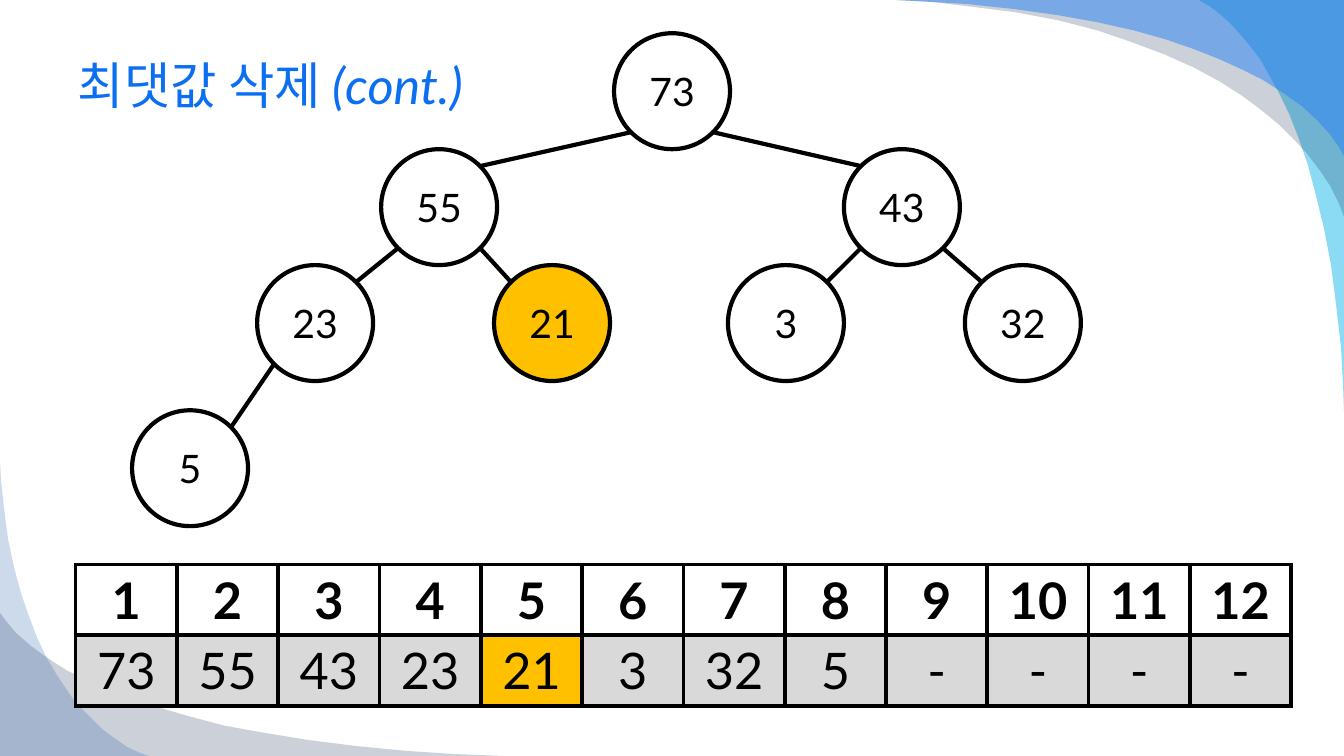
from math import sqrt

from lxml.etree import SubElement
from pptx import Presentation
from pptx.dml.color import RGBColor
from pptx.enum.shapes import MSO_CONNECTOR, MSO_SHAPE
from pptx.enum.text import MSO_ANCHOR, PP_ALIGN
from pptx.oxml.ns import qn
from pptx.util import Inches, Pt

BLACK = RGBColor(0x00, 0x00, 0x00)
WHITE = RGBColor(0xFF, 0xFF, 0xFF)
GRAY = RGBColor(0xD9, 0xD9, 0xD9)
AMBER = RGBColor(0xFF, 0xC0, 0x00)
TITLE_BLUE = RGBColor(0x0C, 0x6F, 0xF2)
CYAN = RGBColor(0x00, 0xB1, 0xE9)
NAVY = RGBColor(0x02, 0x17, 0x41)
BRIGHT_BLUE = RGBColor(0x24, 0x7F, 0xF4)
DEEP_BLUE = RGBColor(0x08, 0x4A, 0xA1)
FONT = "Lato"


def add_text(paragraph, text, size, color, bold=False, italic=False):
    run = paragraph.add_run()
    run.text = text
    run.font.name = FONT
    run.font.size = Pt(size)
    run.font.bold = bold
    run.font.italic = italic
    run.font.color.rgb = color


presentation = Presentation()
presentation.slide_width = Inches(13.33)
presentation.slide_height = Inches(7.5)
slide = presentation.slides.add_slide(presentation.slide_layouts[5])

# Corner waves: colour, opacity in percent, outline points
waves = [
    (CYAN, 45, [
        (13.33, 4.08), (13.33, 0), (11.89, 0), (11.98, 0.05), (12.1, 0.14),
        (12.2, 0.23), (12.31, 0.35), (12.4, 0.46), (12.5, 0.59), (12.59, 0.75),
        (12.69, 0.93), (12.79, 1.14), (12.88, 1.37), (12.97, 1.63),
        (13.05, 1.93), (13.13, 2.26), (13.2, 2.62), (13.25, 3.01),
        (13.3, 3.44), (13.32, 3.8)]),
    (NAVY, 20, [
        (8.89, 0), (13.33, 0), (13.33, 2.15), (13.28, 2.02), (13.19, 1.84),
        (13.09, 1.69), (12.96, 1.52), (12.83, 1.38), (12.69, 1.24),
        (12.52, 1.1), (12.32, 0.95), (12.1, 0.81), (11.84, 0.67),
        (11.55, 0.54), (11.23, 0.42), (10.88, 0.3), (10.49, 0.2),
        (10.06, 0.12), (9.58, 0.06), (9.25, 0.02)]),
    (BRIGHT_BLUE, 49, [
        (8.89, 0), (13.33, 0), (13.33, 1.55), (13.28, 1.46), (13.19, 1.33),
        (13.06, 1.19), (12.92, 1.06), (12.74, 0.93), (12.52, 0.79),
        (12.32, 0.69), (12.1, 0.59), (11.85, 0.49), (11.56, 0.39),
        (11.24, 0.3), (10.88, 0.22), (10.49, 0.15), (10.06, 0.09),
        (9.59, 0.04), (9.25, 0.02)]),
    (NAVY, 20, [
        (5, 7.5), (0, 7.5), (0, 6.08), (0.06, 6.16), (0.16, 6.28),
        (0.31, 6.41), (0.46, 6.52), (0.66, 6.65), (0.85, 6.74), (1.06, 6.84),
        (1.3, 6.93), (1.58, 7.02), (1.89, 7.11), (2.23, 7.2), (2.62, 7.27),
        (3.05, 7.34), (3.52, 7.4), (4.03, 7.45), (4.5, 7.48)]),
    (DEEP_BLUE, 20, [
        (0, 4.58), (0, 7.5), (1.48, 7.5), (1.39, 7.47), (1.26, 7.41),
        (1.13, 7.32), (1.01, 7.23), (0.89, 7.11), (0.75, 6.97), (0.66, 6.84),
        (0.56, 6.69), (0.46, 6.52), (0.37, 6.33), (0.29, 6.12), (0.21, 5.89),
        (0.14, 5.63), (0.08, 5.35), (0.04, 5.04), (0.01, 4.76)]),
]
for color, opacity, outline in waves:
    points = [(Inches(x), Inches(y)) for x, y in outline]
    builder = slide.shapes.build_freeform(*points[0], scale=1.0)
    builder.add_line_segments(points[1:], close=True)
    wave = builder.convert_to_shape()
    wave.shadow.inherit = False
    wave.line.fill.background()
    wave.fill.solid()
    wave.fill.fore_color.rgb = color
    color_element = wave.fill._xPr.find(qn("a:solidFill"))[0]
    SubElement(color_element, qn("a:alpha")).set("val", str(opacity * 1000))

# Title
title = slide.shapes.title
title.left, title.top = Inches(0.67), Inches(0.33)
title.width, title.height = Inches(12), Inches(1.01)
title.text_frame.vertical_anchor = MSO_ANCHOR.MIDDLE
title_paragraph = title.text_frame.paragraphs[0]
title_paragraph.alignment = PP_ALIGN.LEFT
add_text(title_paragraph, "최댓값 삭제 ", 36, TITLE_BLUE)
add_text(title_paragraph, "(cont.)", 36, TITLE_BLUE, italic=True)

# Heap in array order, with the left and top of each node
heap = [73, 55, 43, 23, 21, 3, 32, 5]
moved_value = 21
node_places = [(6.09, 0.33), (3.78, 1.48), (8.37, 1.48), (2.55, 2.63),
               (4.9, 2.63), (7.22, 2.63), (9.57, 2.63), (1.31, 4.07)]
diameter = 1.15

for value, (left, top) in zip(heap, node_places):
    node = slide.shapes.add_shape(MSO_SHAPE.OVAL, Inches(left), Inches(top),
                                  Inches(diameter), Inches(diameter))
    node.shadow.inherit = False
    node.fill.solid()
    node.fill.fore_color.rgb = AMBER if value == moved_value else WHITE
    node.line.color.rgb = BLACK
    node.line.width = Pt(3)
    node.text_frame.vertical_anchor = MSO_ANCHOR.MIDDLE
    node_paragraph = node.text_frame.paragraphs[0]
    node_paragraph.alignment = PP_ALIGN.CENTER
    add_text(node_paragraph, str(value), 28, BLACK)

# Edges run from the lower diagonal of a parent to the upper one of its child
radius = diameter / 2
diagonal = radius / sqrt(2)
for child in range(1, len(heap)):
    parent_left, parent_top = node_places[(child - 1) // 2]
    child_left, child_top = node_places[child]
    side = -1 if child % 2 else 1
    edge = slide.shapes.add_connector(
        MSO_CONNECTOR.STRAIGHT,
        Inches(parent_left + radius + side * diagonal),
        Inches(parent_top + radius + diagonal),
        Inches(child_left + radius - side * diagonal),
        Inches(child_top + radius - diagonal))
    edge.line.color.rgb = BLACK
    edge.line.width = Pt(3)
    SubElement(edge._element.spPr, qn("a:effectLst"))

# Array table: indices above values
capacity = 12
indices = range(1, capacity + 1)
values = heap + ["-"] * (capacity - len(heap))
table = slide.shapes.add_table(2, capacity, Inches(0.75), Inches(5.6),
                               Inches(12.06), Inches(1.4)).table
for row, contents in enumerate([indices, values]):
    for column, content in enumerate(contents):
        cell = table.cell(row, column)
        cell.vertical_anchor = MSO_ANCHOR.MIDDLE
        cell_paragraph = cell.text_frame.paragraphs[0]
        cell_paragraph.alignment = PP_ALIGN.CENTER
        add_text(cell_paragraph, str(content), 36, BLACK, bold=row == 0)
        properties = cell._tc.get_or_add_tcPr()
        for border_name in ("a:lnL", "a:lnR", "a:lnT", "a:lnB"):
            border = SubElement(properties, qn(border_name), w=str(Pt(3)))
            border_fill = SubElement(border, qn("a:solidFill"))
            SubElement(border_fill, qn("a:srgbClr"), val=str(BLACK))
        cell.fill.solid()
        if row == 0:
            cell.fill.fore_color.rgb = WHITE
        else:
            cell.fill.fore_color.rgb = AMBER if content == moved_value else GRAY

presentation.save("out.pptx")
